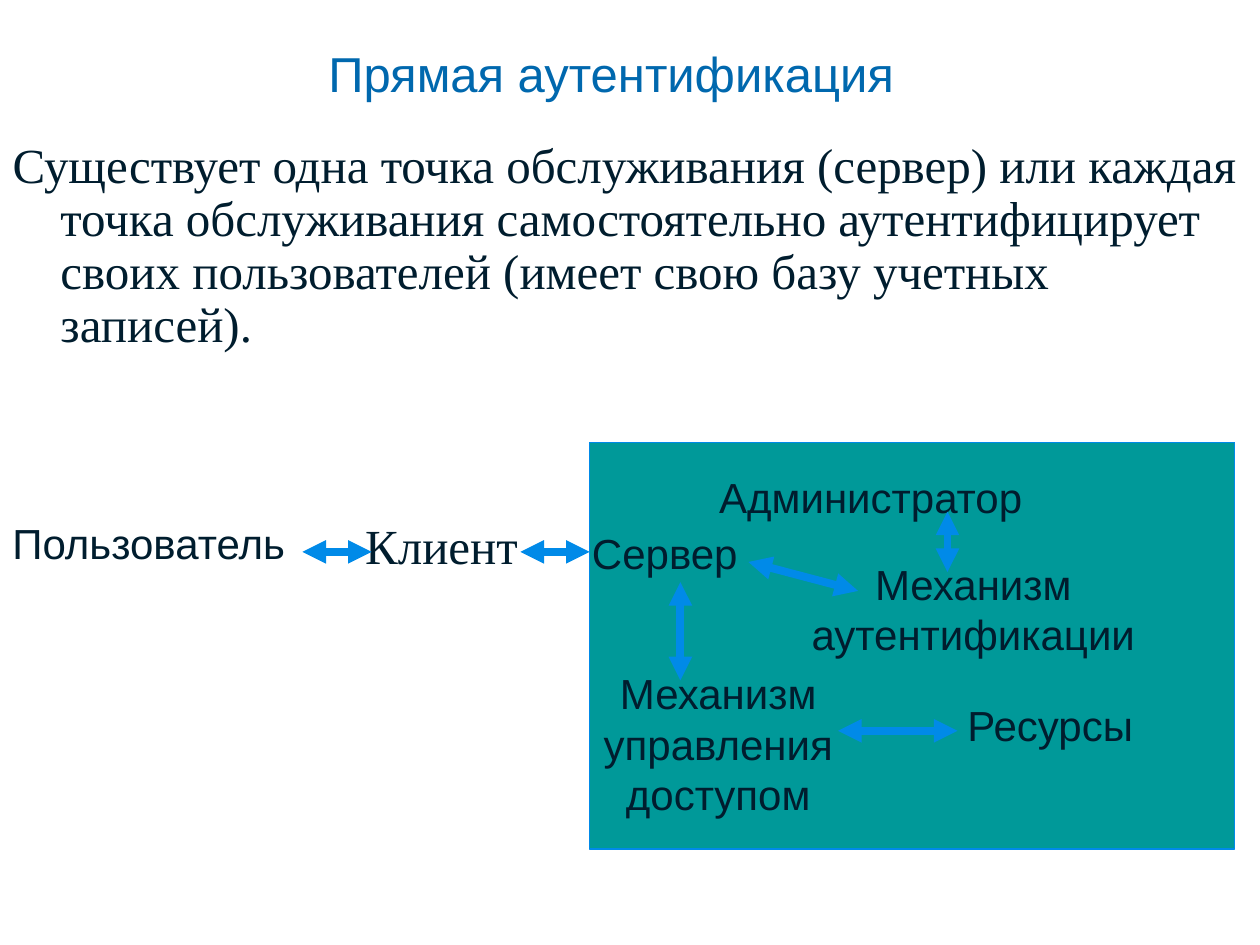
import pptx
import pptx.util
import pptx.dml.color
import pptx.enum.shapes
import pptx.enum.text
import pptx.oxml.ns
import lxml.etree

Inches, Pt = pptx.util.Inches, pptx.util.Pt
ALIGN, ANCHOR = pptx.enum.text.PP_ALIGN, pptx.enum.text.MSO_ANCHOR

COLORS = {"title": "0068AE", "text": "001D2E", "panel": "009999", "accent": "008AE8"}
SANS, SERIF = "Arial", "Times New Roman"

TITLE = "Прямая аутентификация"
BODY = (
    "Существует одна точка обслуживания (сервер) или каждая точка обслуживания "
    "самостоятельно аутентифицирует своих пользователей (имеет свою базу учетных записей)."
)
PANEL = (4.68, 3.51, 5.12, 3.23)
LABELS = [
    (["Пользователь"], (0, 4.06, 2.4, 0.5), {}),
    (["Клиент"], (2.8, 4.04, 1.41, 0.57), {"size": 28, "font": SERIF}),
    (["Администратор"], (5.61, 3.69, 2.61, 0.5), {}),
    (["Сервер"], (4.6, 4.14, 1.36, 0.5), {}),
    (["Механизм", "аутентификации"], (6.34, 4.38, 2.77, 0.9), {"align": ALIGN.CENTER}),
    (["Механизм", "управления", "доступом"], (4.69, 5.25, 2.02, 1.3), {"align": ALIGN.CENTER}),
    (["Ресурсы"], (7.58, 5.5, 1.53, 0.5), {}),
]
ARROWS = [
    (2.4, 4.38, 2.95, 4.38),
    (4.13, 4.38, 4.68, 4.38),
    (7.52, 4.06, 7.52, 4.54),
    (5.94, 4.46, 6.81, 4.69),
    (5.4, 4.62, 5.4, 5.4),
    (6.65, 5.8, 7.6, 5.8),
]


def rgb(name):
    return pptx.dml.color.RGBColor.from_string(COLORS[name])


def place(sp, box):
    sp.left, sp.top, sp.width, sp.height = map(Inches, box)


def write(sp, lines, size=24, font=SANS, color="text", align=ALIGN.LEFT,
          anchor=ANCHOR.TOP, wrap=False, spacing=None, hanging=None):
    tf = sp.text_frame
    tf.word_wrap = wrap
    tf.auto_size = pptx.enum.text.MSO_AUTO_SIZE.NONE
    tf.vertical_anchor = anchor
    for i, line in enumerate(lines):
        p = tf.add_paragraph() if i else tf.paragraphs[0]
        p.alignment = align
        p.space_before = Pt(0)
        if spacing:
            p.line_spacing = spacing
        if hanging:
            pPr = p._p.get_or_add_pPr()
            pPr.set("marL", str(Inches(hanging)))
            pPr.set("indent", str(-Inches(hanging)))
            lxml.etree.SubElement(pPr, pptx.oxml.ns.qn("a:buNone"))
        r = p.add_run()
        r.text = line
        r.font.size, r.font.name = Pt(size), font
        r.font.color.rgb = rgb(color)


def add_arrow(s, ends):
    c = s.shapes.add_connector(pptx.enum.shapes.MSO_CONNECTOR.STRAIGHT, *map(Inches, ends))
    c.line.color.rgb = rgb("accent")
    c.line.width = Pt(4.5)
    ln = c.line._get_or_add_ln()
    for end in ("a:headEnd", "a:tailEnd"):
        lxml.etree.SubElement(ln, pptx.oxml.ns.qn(end), type="triangle")
    lxml.etree.SubElement(c._element.spPr, pptx.oxml.ns.qn("a:effectLst"))


def main():
    """Build the direct authentication slide."""
    prs = pptx.Presentation()
    prs.slide_width, prs.slide_height = Inches(10), Inches(7.5)
    s = prs.slides.add_slide(prs.slide_layouts[1])

    title, body = s.placeholders
    place(title, (0.35, 0, 9, 1.15))
    write(title, [TITLE], size=28, color="title", align=ALIGN.CENTER,
          anchor=ANCHOR.MIDDLE, wrap=True)
    place(body, (0, 1.07, 10, 2.76))
    write(body, [BODY], size=28, font=SERIF, wrap=True, spacing=0.9, hanging=0.38)

    panel = s.shapes.add_shape(pptx.enum.shapes.MSO_SHAPE.RECTANGLE, *map(Inches, PANEL))
    panel.shadow.inherit = False
    panel.fill.solid()
    panel.fill.fore_color.rgb = rgb("panel")
    panel.line.color.rgb = rgb("accent")
    panel.line.width = Pt(0.75)

    for lines, box, style in LABELS:
        write(s.shapes.add_textbox(*map(Inches, box)), lines, **style)
    for ends in ARROWS:
        add_arrow(s, ends)
    prs.save("out.pptx")


if __name__ == "__main__":
    main()
